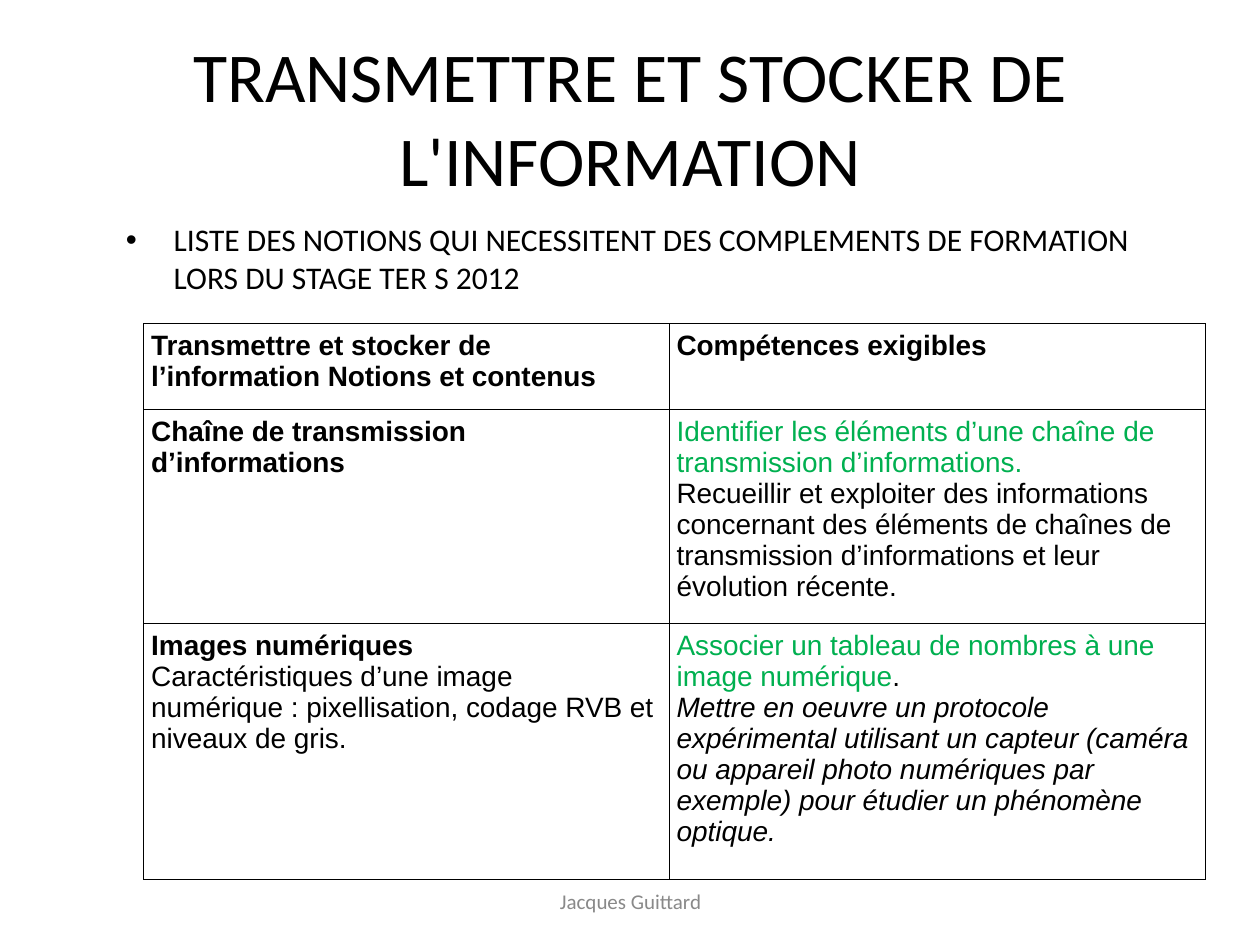
import pptx
import pptx.util
import pptx.dml.color
import pptx.enum.text
import pptx.oxml
import pptx.oxml.ns
from lxml import etree

Inches, Pt = pptx.util.Inches, pptx.util.Pt
ALIGN, ANCHOR = pptx.enum.text.PP_ALIGN, pptx.enum.text.MSO_ANCHOR
BLACK, GREEN, GRAY = "000000", "00B050", "898989"

TITLE = "TRANSMETTRE ET STOCKER DE L'INFORMATION"
TOPIC = "LISTE DES NOTIONS QUI NECESSITENT DES COMPLEMENTS DE FORMATION LORS DU STAGE TER S 2012"
AUTHOR = "Jacques Guittard"

STYLES = {
    "plain": (BLACK, False, False),
    "bold": (BLACK, True, False),
    "green": (GREEN, False, False),
    "italic": (BLACK, False, True),
}
COLS = [4.17, 4.26]
HEIGHTS = [0.68, 1.7, 2.03]
ROWS = [
    [
        [[("Transmettre et stocker de l’information Notions et contenus", "bold")]],
        [[("Compétences exigibles", "bold")]],
    ],
    [
        [[("Chaîne de transmission d’informations", "bold")]],
        [
            [("Identifier les éléments d’une chaîne de transmission d’informations.", "green")],
            [("Recueillir et exploiter des informations concernant des éléments de chaînes de transmission d’informations et leur évolution récente.", "plain")],
        ],
    ],
    [
        [
            [("Images numériques", "bold")],
            [("Caractéristiques d’une image numérique : pixellisation, codage RVB et niveaux de gris.", "plain")],
        ],
        [
            [("Associer un tableau de nombres à une image numérique", "green"), (".", "plain")],
            [("Mettre en oeuvre un protocole expérimental utilisant un capteur (caméra ou appareil photo numériques par exemple) pour étudier un phénomène optique.", "italic")],
        ],
    ],
]


def style(font, name, size, color, bold=False, italic=False):
    font.name, font.size = name, Pt(size)
    font.bold, font.italic = bold, italic
    font.color.rgb = pptx.dml.color.RGBColor.from_string(color)


def label(slide, place, text, size, color, align, anchor, bullet=False):
    box = slide.shapes.add_textbox(*map(Inches, place))
    frame = box.text_frame
    frame.word_wrap = True
    frame.vertical_anchor = anchor
    para = frame.paragraphs[0]
    para.text = text
    para.alignment = align
    if bullet:
        props = para._p.get_or_add_pPr()
        props.set("marL", str(Inches(0.38)))
        props.set("indent", str(-Inches(0.38)))
        face = etree.SubElement(props, pptx.oxml.ns.qn("a:buFont"))
        face.set("typeface", "Arial")
        mark = etree.SubElement(props, pptx.oxml.ns.qn("a:buChar"))
        mark.set("char", "•")
    style(para.font, "Calibri", size, color)


def border(cell):
    props = cell._tc.get_or_add_tcPr()
    for at, side in enumerate(("lnL", "lnR", "lnT", "lnB")):
        line = pptx.oxml.parse_xml(
            f'<a:{side} {pptx.oxml.ns.nsdecls("a")} w="{Pt(0.45)}">'
            f'<a:solidFill><a:srgbClr val="{BLACK}"/></a:solidFill></a:{side}>'
        )
        props.insert(at, line)


def write(cell, paras):
    cell.margin_left = cell.margin_right = Inches(0.06)
    cell.margin_top = cell.margin_bottom = Inches(0.05)
    cell.fill.background()
    border(cell)
    frame = cell.text_frame
    for at, runs in enumerate(paras):
        para = frame.add_paragraph() if at else frame.paragraphs[0]
        for text, kind in runs:
            run = para.add_run()
            run.text = text
            style(run.font, "Arial", 16, *STYLES[kind])


def main():
    deck = pptx.Presentation()
    deck.slide_width, deck.slide_height = Inches(10), Inches(7.5)
    slide = deck.slides.add_slide(deck.slide_layouts[6])

    label(slide, (0.5, 0.3, 9, 1.25), TITLE, 40, BLACK, ALIGN.CENTER, ANCHOR.MIDDLE)
    label(slide, (0.9, 1.7, 8.58, 1.07), TOPIC, 18, BLACK, ALIGN.LEFT, ANCHOR.TOP, True)
    label(slide, (3.42, 6.95, 3.17, 0.4), AUTHOR, 12, GRAY, ALIGN.CENTER, ANCHOR.MIDDLE)

    place = (1.14, 2.57, sum(COLS), sum(HEIGHTS))
    table = slide.shapes.add_table(len(ROWS), len(COLS), *map(Inches, place)).table
    table.first_row = table.horz_banding = False
    for col, width in zip(table.columns, COLS):
        col.width = Inches(width)
    for row, height, cells in zip(table.rows, HEIGHTS, ROWS):
        row.height = Inches(height)
        for cell, paras in zip(row.cells, cells):
            write(cell, paras)

    deck.save("out.pptx")


if __name__ == "__main__":
    main()
